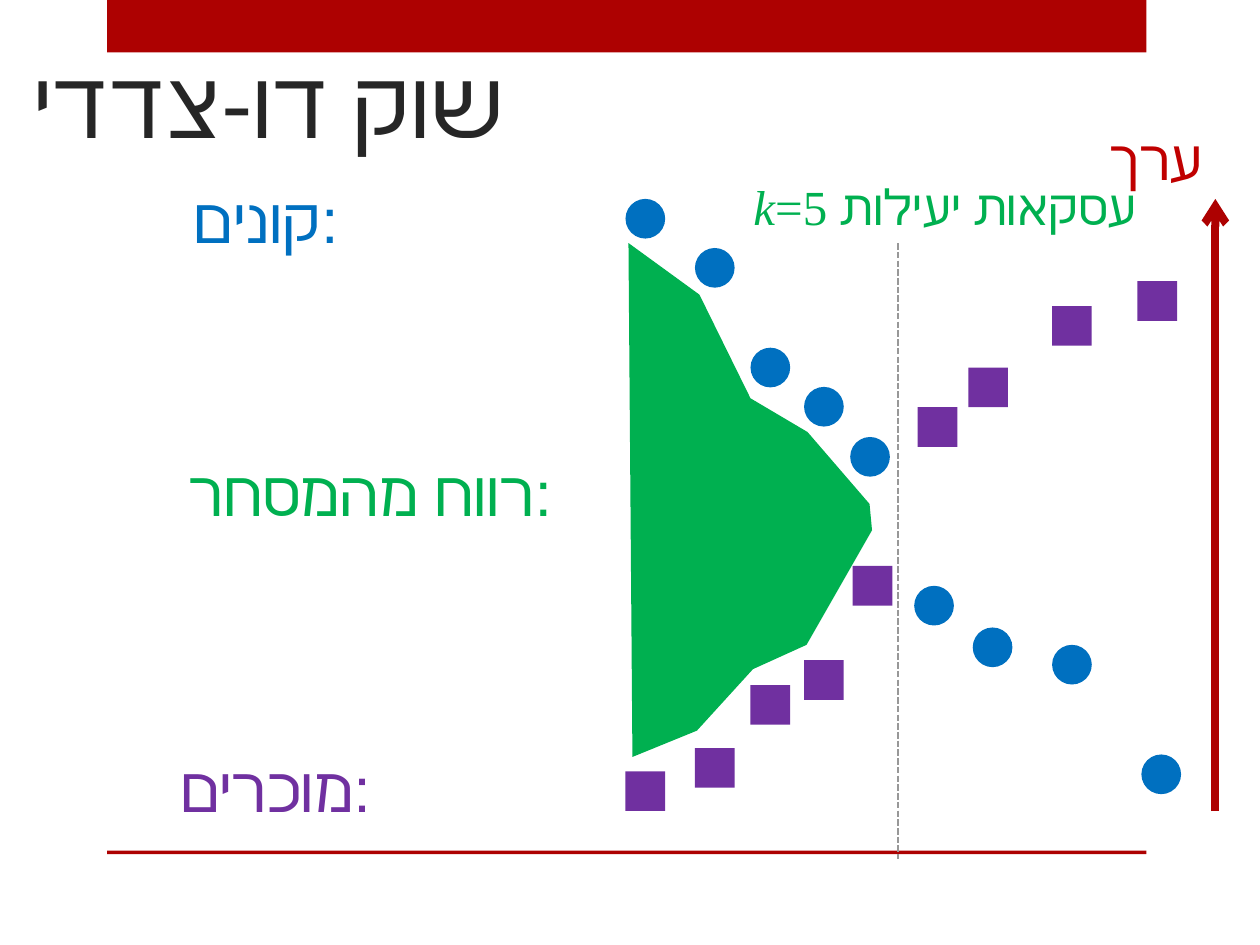
from pptx import Presentation, util as u
from pptx.dml.color import RGBColor
from pptx.enum import dml, shapes, text
from pptx.oxml.ns import qn
from lxml import etree

RED = RGBColor(0xAD, 0x01, 0x01)
VALUE_RED = RGBColor(0xC0, 0x00, 0x00)
DARK = RGBColor(0x26, 0x26, 0x26)
BLUE = RGBColor(0x00, 0x70, 0xC0)
PURPLE = RGBColor(0x70, 0x30, 0xA0)
GREEN = RGBColor(0x00, 0xB0, 0x50)
GREY = RGBColor(0x98, 0x98, 0x98)

# Content; all lengths in cm
BARS = [(2.16, 0, 20.95, 1.06), (2.16, 17.15, 20.95, 0.07)]
MARK = 0.8
BUYERS = [(12.61, 4.01), (14.01, 5), (15.13, 7.01), (16.21, 7.8), (17.14, 8.81),
          (18.43, 11.81), (19.61, 12.65), (21.21, 13), (23.01, 15.21)]
SELLERS = [(12.61, 15.55), (14.01, 15.08), (15.13, 13.81), (16.21, 13.31), (17.19, 11.41),
           (18.5, 8.21), (19.52, 7.41), (21.21, 6.17), (22.93, 5.67)]
GAIN = [(12.67, 4.9), (14.1, 5.94), (15.13, 8.03), (16.28, 8.71), (17.53, 10.16),
        (17.58, 10.69), (16.26, 13), (15.18, 13.49), (14.05, 14.73), (12.75, 15.26)]
# Box, size, colour, wrap, runs of (text, font, italic)
TITLE = ((0.43, -0.23, 23.44, 3.53), 54, DARK, True,
         [("שוק דו-צדדי", "Roboto Condensed", False)])
LABELS = [
    ((3.56, 9.02, 8.25, 1.78), 36, GREEN, False, [("רווח מהמסחר:", "Arial", False)]),
    ((14.94, 3.43, 8.41, 1.45), 28, GREEN, False,
     [("k", "Times New Roman", True), ("=5 ", "Times New Roman", False),
      ("עסקאות יעילות", "Arial", False)]),
    ((3.66, 3.51, 3.58, 1.78), 36, BLUE, False, [("קונים:", "Arial", False)]),
    ((3.38, 14.99, 4.57, 1.78), 36, PURPLE, False, [("מוכרים:", "Arial", False)]),
    ((22.12, 2.39, 3.38, 1.6), 32, VALUE_RED, True, [("ערך", "Arial", False)]),
]

prs = Presentation()
prs.slide_width, prs.slide_height = u.Cm(25.4), u.Cm(19.05)
slide = prs.slides.add_slide(prs.slide_layouts[6])


def paint(shape, color):
    shape.shadow.inherit = False
    shape.fill.solid()
    shape.fill.fore_color.rgb = color
    shape.line.fill.background()


def add_block(kind, box, color):
    paint(slide.shapes.add_shape(kind, *map(u.Cm, box)), color)


def add_label(box, size, color, wrap, runs):
    label = slide.shapes.add_textbox(*map(u.Cm, box))
    frame = label.text_frame
    frame.word_wrap = wrap
    for words, font, italic in runs:
        run = frame.paragraphs[0].add_run()
        run.text = words
        run.font.name, run.font.size = font, u.Pt(size)
        run.font.italic = italic
        run.font.color.rgb = color
    return frame


def add_line(start, end, color, width):
    line = slide.shapes.add_connector(shapes.MSO_CONNECTOR.STRAIGHT,
                                      *map(u.Cm, start + end))
    line.line.color.rgb = color
    line.line.width = u.Pt(width)
    etree.SubElement(line._element.spPr, qn("a:effectLst"))
    return line.line


# Red bars and title
for bar in BARS:
    add_block(shapes.MSO_SHAPE.RECTANGLE, bar, RED)
add_label(*TITLE).vertical_anchor = text.MSO_ANCHOR.BOTTOM

# Buyers and sellers
for kind, color, places in ((shapes.MSO_SHAPE.OVAL, BLUE, BUYERS),
                            (shapes.MSO_SHAPE.RECTANGLE, PURPLE, SELLERS)):
    for place in places:
        add_block(kind, place + (MARK, MARK), color)

# Gain from trade
corners = [(u.Cm(x), u.Cm(y)) for x, y in GAIN]
outline = slide.shapes.build_freeform(*corners[0])
outline.add_line_segments(corners[1:], close=True)
paint(outline.convert_to_shape(), GREEN)

# Divider after the efficient deals, and the value axis
add_line((18.11, 4.9), (18.11, 17.32), GREY, 1.25).dash_style = dml.MSO_LINE.SQUARE_DOT
axis = add_line((24.5, 16.35), (24.5, 4.01), RED, 4.5)
etree.SubElement(axis._get_or_add_ln(), qn("a:tailEnd"), type="arrow")

# Labels
for label in LABELS:
    add_label(*label).auto_size = text.MSO_AUTO_SIZE.SHAPE_TO_FIT_TEXT

prs.save("out.pptx")
